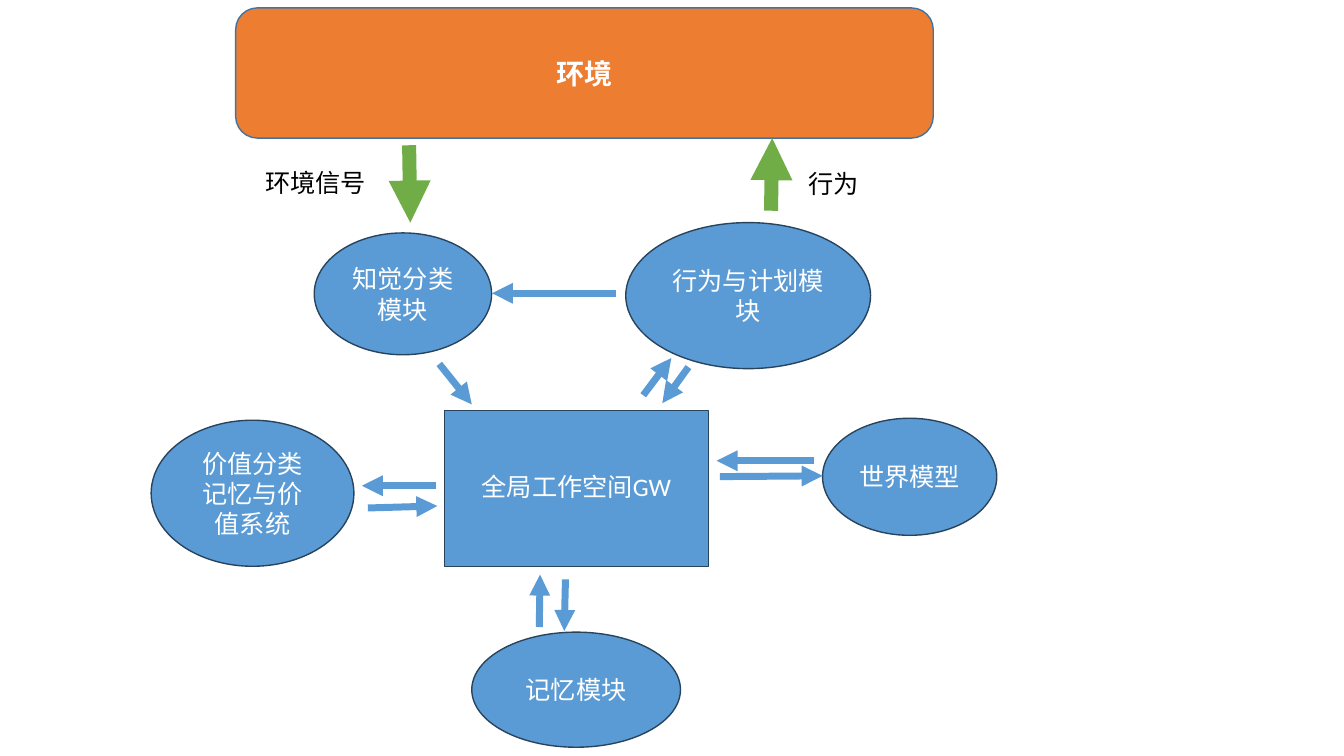
from dataclasses import dataclass

from lxml.etree import SubElement
from pptx import Presentation
from pptx.dml.color import RGBColor
from pptx.enum.shapes import MSO_CONNECTOR, MSO_SHAPE
from pptx.enum.text import MSO_ANCHOR, MSO_AUTO_SIZE, PP_ALIGN
from pptx.oxml.ns import qn
from pptx.util import Cm, Pt


@dataclass(frozen=True)
class Theme:
    font: str = "Calibri"
    module: str = "5B9BD5"
    module_edge: str = "28445D"
    environment: str = "ED7D31"
    environment_edge: str = "43739E"
    signal: str = "70AD47"
    light: str = "FFFFFF"
    dark: str = "000000"
    body_size: int = 18
    heading_size: int = 20
    edge_width: int = 1
    module_arrow: int = 5
    signal_arrow: int = 10


@dataclass(frozen=True)
class Box:
    """An area in centimetres."""
    left: float
    top: float
    width: float
    height: float

    def within(self, left, top, width, height):
        return Box(self.left + left, self.top + top, width, height)

    def point(self, x, y):
        return Cm(self.left + x), Cm(self.top + y)

    def lengths(self):
        return Cm(self.left), Cm(self.top), Cm(self.width), Cm(self.height)


THEME = Theme()


def write(frame, text, *, size=THEME.body_size, color=THEME.light, bold=False,
          align=PP_ALIGN.CENTER, anchor=MSO_ANCHOR.MIDDLE, spacing=None):
    frame.word_wrap = True
    frame.vertical_anchor = anchor
    paragraph = frame.paragraphs[0]
    paragraph.alignment = align
    paragraph.line_spacing = spacing
    run = paragraph.add_run()
    run.text = text
    run.font.name = THEME.font
    run.font.size = Pt(size)
    run.font.bold = bold
    run.font.color.rgb = RGBColor.from_string(color)


def add_node(slide, box, outline, text, *, fill=THEME.module,
             edge=THEME.module_edge, **text_format):
    node = slide.shapes.add_shape(outline, *box.lengths())
    node.shadow.inherit = False
    node.fill.solid()
    node.fill.fore_color.rgb = RGBColor.from_string(fill)
    node.line.color.rgb = RGBColor.from_string(edge)
    node.line.width = Pt(THEME.edge_width)
    write(node.text_frame, text, **text_format)


def add_label(slide, box, text):
    label = slide.shapes.add_textbox(*box.lengths())
    write(label.text_frame, text, color=THEME.dark, align=PP_ALIGN.LEFT,
          anchor=MSO_ANCHOR.TOP)
    label.text_frame.auto_size = MSO_AUTO_SIZE.SHAPE_TO_FIT_TEXT


def add_arrow(slide, box, start, end, *, color=THEME.module,
              width=THEME.module_arrow):
    arrow = slide.shapes.add_connector(
        MSO_CONNECTOR.STRAIGHT, *box.point(*start), *box.point(*end))
    arrow.line.color.rgb = RGBColor.from_string(color)
    arrow.line.width = Pt(width)
    SubElement(arrow.line._get_or_add_ln(), qn("a:tailEnd"), type="triangle")
    SubElement(arrow._element.spPr, qn("a:effectLst"))


def add_modules(slide, box):
    """Place the global workspace, the modules around it and their links."""
    add_node(slide, box.within(7.39, 4.73, 6.65, 3.94), MSO_SHAPE.RECTANGLE,
             "全局工作空间GW", spacing=0.92)
    modules = {
        "知觉分类模块": (4.11, 0.26, 4.47, 3.07),
        "价值分类记忆与价值系统": (0, 4.98, 5.11, 3.68),
        "行为与计划模块": (11.96, 0, 6.17, 3.68),
        "记忆模块": (8.08, 10.32, 5.26, 2.9),
        "世界模型": (16.92, 4.93, 4.39, 2.95),
    }
    for name, place in modules.items():
        add_node(slide, box.within(*place), MSO_SHAPE.OVAL, name)

    perception_to_workspace = [((7.26, 3.56), (8.08, 4.58))]
    plan_to_perception = [((11.71, 1.78), (8.59, 1.78))]
    value_links = [((5.46, 7.19), (7.21, 7.14)), ((7.19, 6.63), (5.31, 6.63))]
    plan_links = [((13.54, 3.64), (12.88, 4.55)), ((12.4, 4.35), (13.11, 3.41))]
    memory_links = [((10.44, 8.99), (10.41, 10.29)), ((9.78, 10.19), (9.8, 8.87))]
    world_links = [((16.71, 6), (14.25, 6)), ((14.33, 6.4), (16.92, 6.38))]
    for start, end in (perception_to_workspace + plan_to_perception + value_links
                       + plan_links + memory_links + world_links):
        add_arrow(slide, box, start, end)


def add_environment(slide, box):
    """Place the environment band with its incoming and outgoing signals."""
    band_height = 3.28
    add_node(slide, box.within(0, 0, box.width, band_height),
             MSO_SHAPE.ROUNDED_RECTANGLE, "环境", fill=THEME.environment,
             edge=THEME.environment_edge, size=THEME.heading_size, bold=True)
    perceived = (4.37, 3.46), (4.4, box.height)
    action = (13.49, 5.11), (13.52, band_height)
    for start, end in (perceived, action):
        add_arrow(slide, box, start, end, color=THEME.signal,
                  width=THEME.signal_arrow)
    add_label(slide, box.within(0.49, 3.89, 3.12, 1.02), "环境信号")
    add_label(slide, box.within(14.18, 3.91, 2.87, 0.86), "行为")


def main():
    deck = Presentation()
    deck.slide_width, deck.slide_height = Cm(33.87), Cm(19.05)
    blank_layout = deck.slide_layouts[6]
    slide = deck.slides.add_slide(blank_layout)
    add_modules(slide, Box(3.81, 5.61, 21.31, 13.22))
    add_environment(slide, Box(5.94, 0.2, 17.58, 5.41))
    deck.save("out.pptx")


if __name__ == "__main__":
    main()
